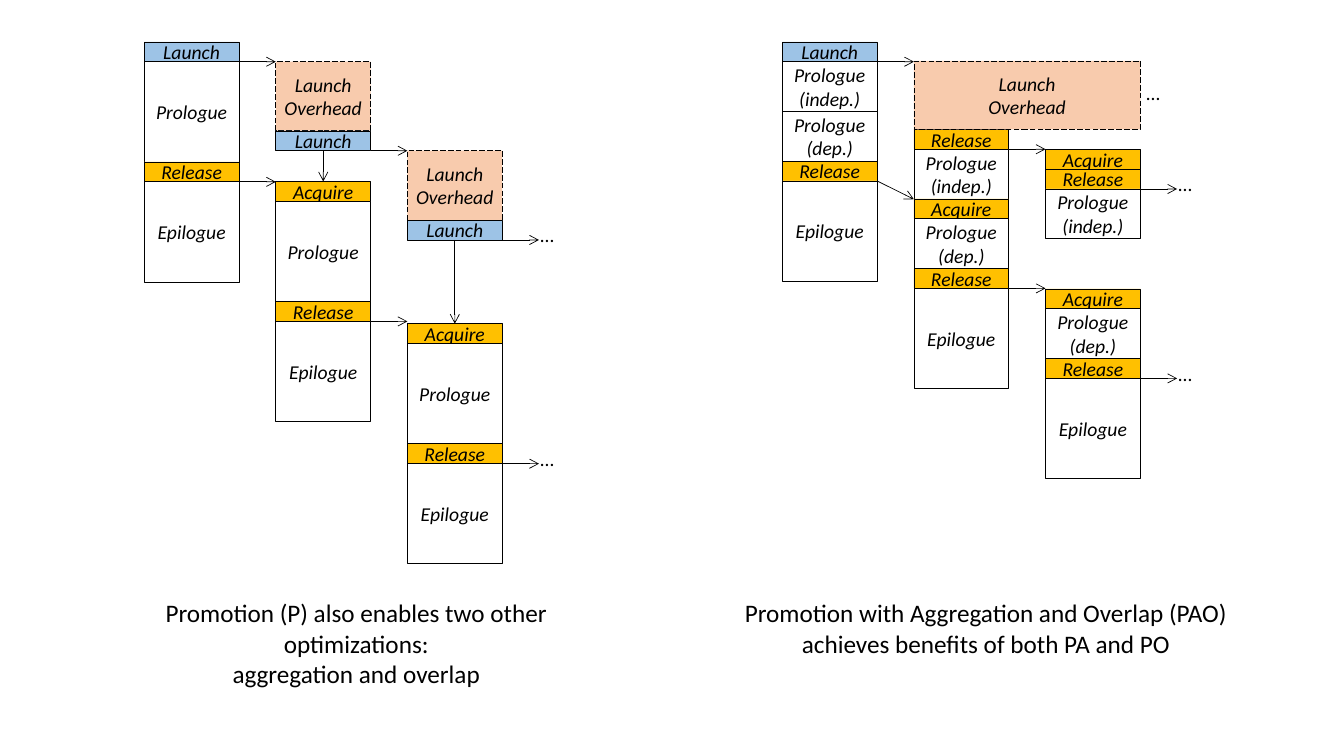
from lxml import etree
from pptx import Presentation
from pptx import util as u
from pptx.dml import color
from pptx.enum import dml, shapes, text
from pptx.oxml import ns

COLORS = {"ink": "000000", "stage": "FFFFFF", "launch": "9DC3E6",
          "sync": "FFC000", "overhead": "F8CBAD"}
FONT = "Calibri"
BOX_WIDTH = 67.8
COLUMN_PITCH = 94
BAR, HALF, FULL, OVERHEAD = 14.2, 35.5, 71.6, 49.5
# Step name: (label, height, colour)
STEPS = {
    "launch": ("Launch", BAR, "launch"),
    "acquire": ("Acquire", BAR, "sync"),
    "release": ("Release", BAR, "sync"),
    "prologue": ("Prologue", FULL, "stage"),
    "indep": ("Prologue\n(indep.)", HALF, "stage"),
    "dep": ("Prologue\n(dep.)", HALF, "stage"),
    "epilogue": ("Epilogue", FULL, "stage"),
    "overhead": ("Launch Overhead", OVERHEAD, "overhead"),
}


def rgb(name):
    """Return the named colour."""
    return color.RGBColor.from_string(COLORS[name])


def write(shape, content, size=14, italic=False, align=text.PP_ALIGN.CENTER,
          anchor=text.MSO_ANCHOR.TOP, wrap=True, margins=(0, 0)):
    """Fill a shape with text, one paragraph per line."""
    frame = shape.text_frame
    frame.word_wrap = wrap
    frame.vertical_anchor = anchor
    frame.margin_left = frame.margin_right = u.Pt(margins[0])
    frame.margin_top = frame.margin_bottom = u.Pt(margins[1])
    frame.text = content
    for paragraph in frame.paragraphs:
        paragraph.alignment = align
        for run in paragraph.runs:
            run.font.name = FONT
            run.font.size = u.Pt(size)
            run.font.italic = italic
            run.font.color.rgb = rgb("ink")


def add_label(slide, content, left, top, width, height, **style):
    """Add a text box."""
    shape = slide.shapes.add_textbox(u.Pt(left), u.Pt(top), u.Pt(width), u.Pt(height))
    write(shape, content, **style)


def add_ellipsis(slide, left, top):
    """Add the dots that mark a continuation."""
    add_label(slide, "…", left, top, 19.4, 17, align=text.PP_ALIGN.LEFT, wrap=False)


def add_box(slide, content, left, top, width, height, fill):
    """Add one outlined step; overhead steps are dashed."""
    shape = slide.shapes.add_shape(shapes.MSO_SHAPE.RECTANGLE, u.Pt(left), u.Pt(top),
                                   u.Pt(width), u.Pt(height))
    shape.shadow.inherit = False
    shape.fill.solid()
    shape.fill.fore_color.rgb = rgb(fill)
    shape.line.color.rgb = rgb("ink")
    shape.line.width = u.Pt(0.5)
    if fill == "overhead":
        shape.line.dash_style = dml.MSO_LINE.LONG_DASH
    write(shape, content, italic=True, anchor=text.MSO_ANCHOR.MIDDLE)


def add_arrow(slide, x1, y1, x2, y2):
    """Add a thin line with an open arrowhead at its end."""
    arrow = slide.shapes.add_connector(shapes.MSO_CONNECTOR.STRAIGHT,
                                       u.Pt(x1), u.Pt(y1), u.Pt(x2), u.Pt(y2))
    arrow.line.color.rgb = rgb("ink")
    arrow.line.width = u.Pt(0.5)
    etree.SubElement(arrow.line._get_or_add_ln(), ns.qn("a:tailEnd"), type="arrow")
    etree.SubElement(arrow._element.spPr, ns.qn("a:effectLst"))


def add_stack(slide, origin, column, top, steps, drop=0):
    """Stack steps downwards; each launch or release signals the next column."""
    left = origin + column * COLUMN_PITCH
    for step in steps.split():
        label, height, fill = STEPS[step]
        add_box(slide, label, left, top, BOX_WIDTH, height, fill)
        top += height
        if step in ("launch", "release"):
            slant = drop if step == "release" else 0
            following = left + COLUMN_PITCH
            add_arrow(slide, left + BOX_WIDTH, top, following, top + slant)
            if column == 2:
                add_ellipsis(slide, following + 1, top - 12)


def add_promotion(slide, origin):
    """Draw the timeline of plain promotion."""
    work = "prologue release epilogue"
    add_stack(slide, origin, 0, 29.9, "launch " + work)
    for column, overhead_top, acquire_top in ((1, 44, 129.6), (2, 107.7, 231.2)):
        add_stack(slide, origin, column, overhead_top, "overhead launch")
        add_stack(slide, origin, column, acquire_top, "acquire " + work)
        middle = origin + column * COLUMN_PITCH + BOX_WIDTH / 2
        add_arrow(slide, middle, overhead_top + OVERHEAD + BAR, middle, acquire_top)


def add_overlap(slide, origin):
    """Draw the timeline of promotion with aggregation and overlap."""
    add_stack(slide, origin, 0, 29.9, "launch indep dep release epilogue", drop=13)
    add_stack(slide, origin, 1, 92.4, "release indep acquire dep release epilogue")
    add_stack(slide, origin, 2, 106.6, "acquire release indep")
    add_stack(slide, origin, 2, 206.4, "acquire dep release epilogue")
    add_box(slide, "Launch\nOverhead", origin + COLUMN_PITCH, 43.5,
            COLUMN_PITCH + BOX_WIDTH, 48.9, "overhead")
    add_ellipsis(slide, origin + 260, 57.6)


def main():
    """Build the slide and save it."""
    presentation = Presentation()
    presentation.slide_width, presentation.slide_height = u.Pt(960), u.Pt(540)
    slide = presentation.slides.add_slide(presentation.slide_layouts[6])
    add_promotion(slide, 103)
    add_overlap(slide, 558.8)
    captions = (
        ("Promotion (P) also enables two other optimizations:\n"
         "aggregation and overlap", 57.6, 393.8),
        ("Promotion with Aggregation and Overlap (PAO) "
         "achieves benefits of both PA and PO", 492.5, 423.4),
    )
    for content, left, width in captions:
        add_label(slide, content, left, 423.4, width, 51, size=18, margins=(30, 3.6))
    presentation.save("out.pptx")


main()
